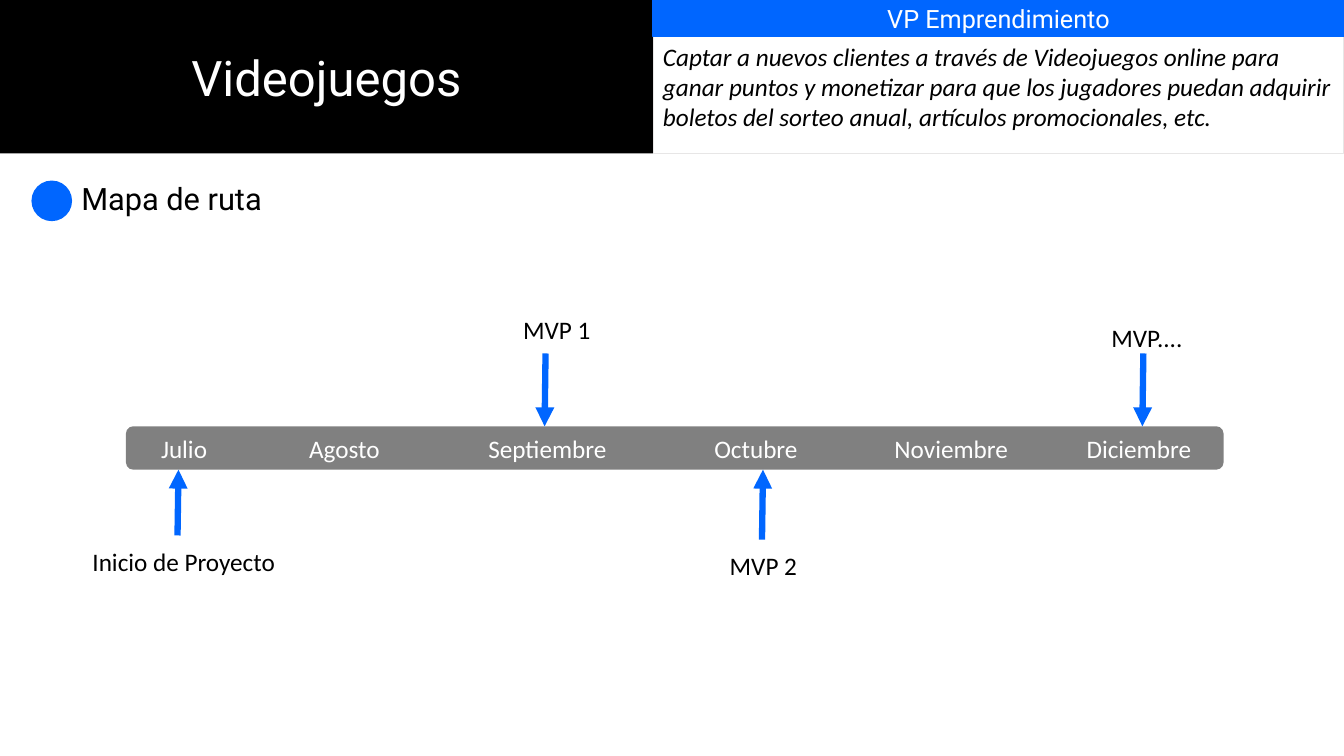
from lxml import etree
from pptx import Presentation
from pptx.enum.shapes import MSO_CONNECTOR, MSO_SHAPE
from pptx.enum.text import MSO_ANCHOR, PP_ALIGN
from pptx.dml.color import RGBColor
from pptx.oxml.ns import qn
from pptx.util import Pt

RECT, ROUNDED, OVAL = MSO_SHAPE.RECTANGLE, MSO_SHAPE.ROUNDED_RECTANGLE, MSO_SHAPE.OVAL
STRAIGHT = MSO_CONNECTOR.STRAIGHT
TOP, MIDDLE = MSO_ANCHOR.TOP, MSO_ANCHOR.MIDDLE
LEFT, CENTER = PP_ALIGN.LEFT, PP_ALIGN.CENTER

COLORS = {"black": "000000", "white": "FFFFFF", "blue": "0066FF",
          "gray": "808080", "border": "E7E6E6"}
HEADING, BODY = "Roboto", "Calibri"

# Month and its centre, measured from the left end of the bar
MONTHS = [("Julio", 40), ("Agosto", 154.5), ("Septiembre", 299.5),
          ("Octubre", 448.5), ("Noviembre", 588), ("Diciembre", 722)]

# Label, its offset (left, top) from the bar, arrow tip x, arrow length, above the bar?
MILESTONES = [("MVP 1", 235, -83.5, 299, 52, True),
              ("MVP 2", 382.5, 85, 455, 50, False),
              ("Inicio de Proyecto", -31.5, 82, 37.5, 47, False),
              ("MVP....", 656.5, -77.5, 726, 52, True)]
LABEL_SIZE = (145.5, 29)
ARROW_TILT = 0.7


def color(name):
    return RGBColor.from_string(COLORS[name])


def write(shape, text, size, font, ink, align=LEFT, anchor=TOP, italic=None):
    frame = shape.text_frame
    frame.word_wrap = True
    frame.vertical_anchor = anchor
    paragraph = frame.paragraphs[0]
    paragraph.text = text
    paragraph.alignment = align
    paragraph.font.size = Pt(size)
    paragraph.font.name = font
    paragraph.font.italic = italic
    paragraph.font.color.rgb = color(ink)
    return paragraph


def add_block(slide, kind, box, fill=None, border=None, weight=1):
    block = slide.shapes.add_shape(kind, *map(Pt, box))
    block.shadow.inherit = False
    if fill:
        block.fill.solid()
        block.fill.fore_color.rgb = color(fill)
    else:
        block.fill.background()
    if border:
        block.line.color.rgb = color(border)
        block.line.width = Pt(weight)
    else:
        block.line.fill.background()
    return block


def add_label(slide, box, text, size, font, align):
    label = slide.shapes.add_textbox(*map(Pt, box))
    write(label, text, size, font, "black", align)


def add_arrow(slide, start, end):
    arrow = slide.shapes.add_connector(STRAIGHT, *map(Pt, start + end))
    arrow.line.color.rgb = color("blue")
    arrow.line.width = Pt(4.5)
    line = arrow._element.spPr.find(qn("a:ln"))
    etree.SubElement(line, qn("a:tailEnd"), type="triangle")
    etree.SubElement(arrow._element.spPr, qn("a:effectLst"))


def add_header(slide, left, top, width, height):
    title_width, band_height = 466.5, 26
    side, side_width = left + title_width, width - title_width

    title = add_block(slide, RECT, (left, top, title_width, height), "black")
    write(title, "Videojuegos", 35, HEADING, "white", CENTER, MIDDLE)

    goal = add_block(slide, RECT, (side, top + band_height, side_width, height - band_height),
                     border="border", weight=0.75)
    write(goal, "Captar a nuevos clientes a través de Videojuegos online para ganar puntos y "
          "monetizar para que los jugadores puedan adquirir boletos del sorteo anual, "
          "artículos promocionales, etc.", 18, BODY, "black", italic=True)

    area = add_block(slide, RECT, (side, top, side_width, band_height), "blue", "blue")
    write(area, "VP Emprendimiento", 18, HEADING, "white", CENTER, MIDDLE)


def add_section_heading(slide, left, top, width, height):
    dot = 28
    add_block(slide, OVAL, (left, top + 5, dot, dot), "blue", "blue")
    add_label(slide, (left + dot, top, width - dot, height), "Mapa de ruta", 22, HEADING, LEFT)


def add_roadmap(slide, left, top, width, height):
    # Month bar: one line of text, each month centred on its own tab stop
    bar = add_block(slide, ROUNDED, (left, top, width, height), "gray")
    bar.text_frame.margin_left = bar.text_frame.margin_right = 0
    months = write(bar, "".join("\t" + month for month, _ in MONTHS),
                   18, BODY, "white", LEFT, MIDDLE)
    stops = etree.Element(qn("a:tabLst"))
    for _, centre in MONTHS:
        etree.SubElement(stops, qn("a:tab"), pos=str(int(Pt(centre))), algn="ctr")
    properties = months._p.get_or_add_pPr()
    defaults = properties.find(qn("a:defRPr"))
    defaults.addprevious(stops)

    # Milestones, with arrows that point at the bar
    for name, label_x, label_y, tip_x, length, above in MILESTONES:
        side = -1 if above else 1
        tip_y = top if above else top + height
        add_arrow(slide, (left + tip_x - side * ARROW_TILT, tip_y + side * length),
                  (left + tip_x, tip_y))
        add_label(slide, (left + label_x, top + label_y, *LABEL_SIZE), name, 18, BODY, CENTER)


def main():
    deck = Presentation()
    deck.slide_width, deck.slide_height = Pt(960), Pt(540)
    slide = deck.slides.add_slide(deck.slide_layouts[6])
    add_header(slide, 0, 0, 960, 109.5)
    add_section_heading(slide, 23, 124.5, 269, 38)
    add_roadmap(slide, 90, 304.5, 784, 31)
    deck.save("out.pptx")


if __name__ == "__main__":
    main()
